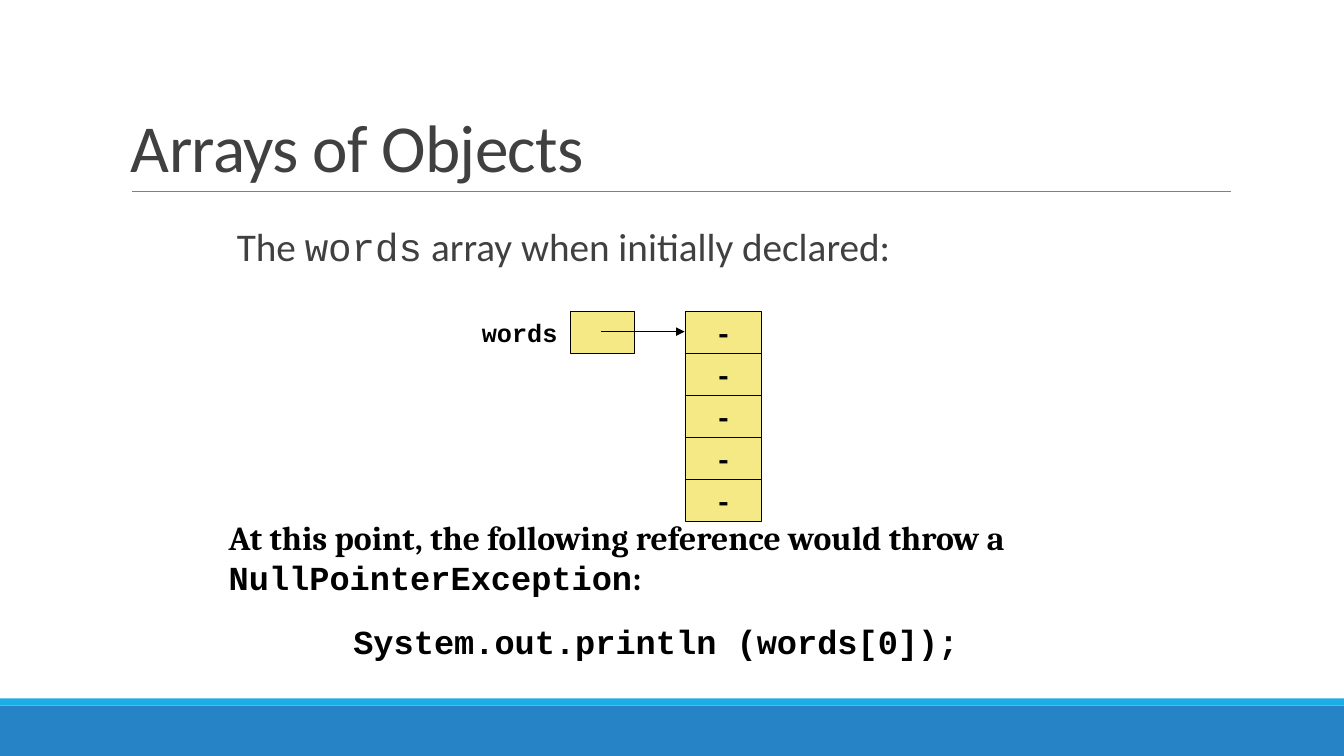
from dataclasses import dataclass

from lxml.etree import SubElement
from pptx import Presentation
from pptx.dml.color import RGBColor
from pptx.enum.shapes import MSO_CONNECTOR, MSO_SHAPE
from pptx.enum.text import MSO_ANCHOR, PP_ALIGN
from pptx.oxml.ns import qn
from pptx.util import Inches, Pt

COLORS = {
    "band": "2683C6",
    "stripe": "1CADE4",
    "rule": "808080",
    "heading": "404040",
    "cell": "F5E985",
    "ink": "000000",
}
SANS, SERIF, MONO = "Calibri", "Cambria", "Courier New"


@dataclass(frozen=True)
class Area:
    left: float
    top: float
    width: float
    height: float

    def lengths(self):
        return [Inches(v) for v in (self.left, self.top, self.width, self.height)]


@dataclass(frozen=True)
class Span:
    text: str
    font: str


@dataclass(frozen=True)
class Style:
    size: float
    color: str = "ink"
    bold: bool = True
    tracking: int = 0  # hundredths of a point


@dataclass(frozen=True)
class Line:
    start: tuple[float, float]
    end: tuple[float, float]
    color: str
    weight: float
    arrow: bool = False


def rgb(name: str) -> RGBColor:
    return RGBColor.from_string(COLORS[name])


def add_spans(para, spans: list[Span], style: Style) -> None:
    for span in spans:
        run = para.add_run()
        run.text = span.text
        run.font.name = span.font
        run.font.size = Pt(style.size)
        run.font.bold = style.bold
        run.font.color.rgb = rgb(style.color)
        if style.tracking:
            run.font._element.set("spc", str(style.tracking))


def add_text(page, area: Area, spans: list[Span], style: Style,
             spacing: float = 1.0, anchor=MSO_ANCHOR.TOP, wrap: bool = True):
    """Add a text box with one paragraph and return its text frame."""
    frame = page.shapes.add_textbox(*area.lengths()).text_frame
    frame.word_wrap = wrap
    frame.vertical_anchor = anchor
    para = frame.paragraphs[0]
    para.line_spacing = spacing
    add_spans(para, spans, style)
    return frame


def add_box(page, area: Area, fill: str, outlined: bool = False):
    box = page.shapes.add_shape(MSO_SHAPE.RECTANGLE, *area.lengths())
    box.shadow.inherit = False
    box.fill.solid()
    box.fill.fore_color.rgb = rgb(fill)
    if outlined:
        box.line.color.rgb = rgb("ink")
        box.line.width = Pt(0.75)
    else:
        box.line.fill.background()
    return box


def add_line(page, line: Line) -> None:
    ends = [Inches(v) for v in (*line.start, *line.end)]
    connector = page.shapes.add_connector(MSO_CONNECTOR.STRAIGHT, *ends)
    connector.line.color.rgb = rgb(line.color)
    connector.line.width = Pt(line.weight)
    if line.arrow:
        SubElement(connector.line._get_or_add_ln(), qn("a:tailEnd"), type="triangle")
    SubElement(connector._element.spPr, qn("a:effectLst"))


def add_array_diagram(page) -> None:
    top, cell_count = 3.09, 5
    cell_height = 2.08 / cell_count
    add_box(page, Area(5.66, top, 0.63, cell_height), "cell", outlined=True)
    add_text(page, Area(4.68, 3.1, 0.95, 0.4), [Span("words", MONO)], Style(18),
             wrap=False)
    for index in range(cell_count):
        area = Area(6.8, top + index * cell_height, 0.75, cell_height)
        frame = add_box(page, area, "cell", outlined=True).text_frame
        frame.word_wrap = False
        frame.vertical_anchor = MSO_ANCHOR.MIDDLE
        para = frame.paragraphs[0]
        para.alignment = PP_ALIGN.CENTER
        add_spans(para, [Span("-", MONO)], Style(20))
    add_line(page, Line((5.96, 3.29), (6.79, 3.29), "ink", 0.75, arrow=True))


def add_exception_note(page) -> None:
    style = Style(24)
    frame = add_text(page, Area(2.17, 5.08, 8.67, 1.83), [
        Span("At this point, the following reference would throw a ", SERIF),
        Span("NullPointerException", MONO),
        Span(":", SERIF),
    ], style)
    para = frame.add_paragraph()
    para.alignment = PP_ALIGN.CENTER
    para.space_before = Pt(16.8)
    add_spans(para, [Span("System.out.println (words[0]);", MONO)], style)


def main() -> None:
    deck = Presentation()
    deck.slide_width, deck.slide_height = Inches(13.33), Inches(7.5)
    page = deck.slides.add_slide(deck.slide_layouts[6])

    add_box(page, Area(0, 7, 13.33, 0.5), "band")
    add_box(page, Area(0, 6.93, 13.33, 0.07), "stripe")
    add_line(page, Line((1.31, 1.9), (12.21, 1.9), "rule", 0.5))
    add_text(page, Area(1.2, 0.31, 11, 1.59), [Span("Arrays of Objects", SANS)],
             Style(48, "heading", bold=False, tracking=-50),
             spacing=0.85, anchor=MSO_ANCHOR.BOTTOM)
    add_text(page, Area(2.25, 2.21, 9.08, 0.55), [
        Span("The ", SANS),
        Span("words", MONO),
        Span(" array when initially declared:", SANS),
    ], Style(28, "heading", bold=False), spacing=0.9)
    add_array_diagram(page)
    add_exception_note(page)

    deck.save("out.pptx")


if __name__ == "__main__":
    main()
